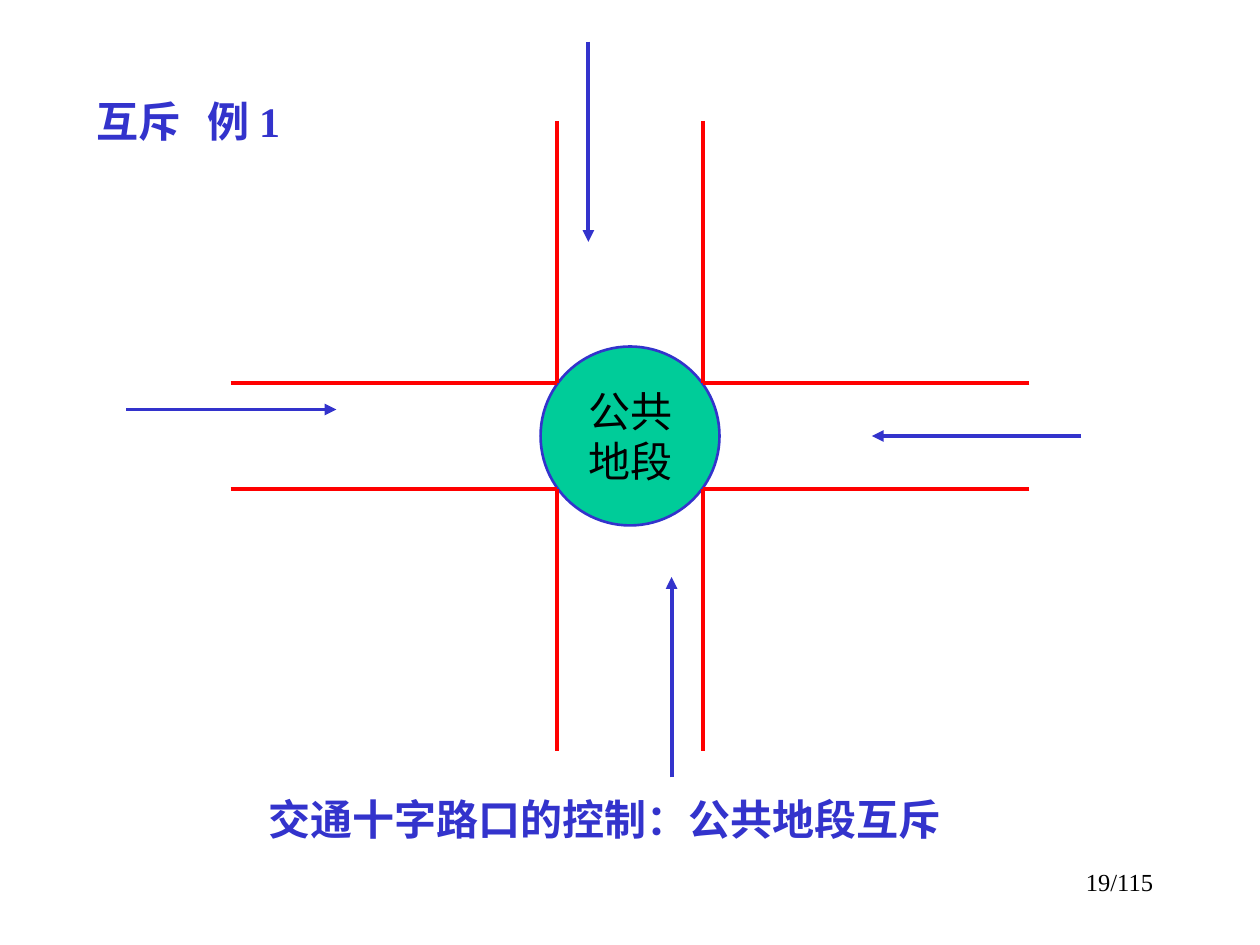
import itertools

import pptx
import pptx.dml.color
import pptx.enum.shapes
import pptx.enum.text
import pptx.oxml
import pptx.oxml.ns
import pptx.util
from pptx.util import Inches

BLUE = pptx.dml.color.RGBColor(0x33, 0x33, 0xCC)
RED = pptx.dml.color.RGBColor(0xFF, 0x00, 0x00)
GREEN = pptx.dml.color.RGBColor(0x00, 0xCC, 0x99)
BLACK = pptx.dml.color.RGBColor(0x00, 0x00, 0x00)

ALIGN = pptx.enum.text.PP_ALIGN
BODY = {"size": pptx.util.Pt(24), "name": "Times New Roman", "bold": False}
HEADING = {**BODY, "bold": True}
SMALL = {**BODY, "size": pptx.util.Pt(14)}

ROAD_X = (4.42, 5.58)
ROAD_Y = (3.04, 3.88)
ROAD_LEFT, ROAD_RIGHT = 1.83, 8.17
ROAD_TOP, ROAD_BOTTOM = 0.96, 5.96

TRAFFIC = [
    ((1, 3.25), (2.67, 3.25)),
    ((4.67, 0.33), (4.67, 1.92)),
    ((8.58, 3.46), (6.92, 3.46)),
    ((5.33, 6.17), (5.33, 4.58)),
]


def write_para(para, text, font, color, align, space_before=0):
    para.alignment = align
    para.space_before = pptx.util.Pt(space_before)
    span = para.add_run()
    span.text = text
    for key, value in font.items():
        setattr(span.font, key, value)
    span.font.color.rgb = color


def add_text(page, bounds, *para_format):
    box = page.shapes.add_textbox(*map(Inches, bounds))
    box.text_frame.word_wrap = True
    para = box.text_frame.paragraphs[0]
    write_para(para, *para_format)
    return para


def add_tab_stop(para, position):
    tabs = pptx.oxml.parse_xml(
        f'<a:tabLst {pptx.oxml.ns.nsdecls("a")}>'
        f'<a:tab pos="{Inches(position)}" algn="l"/></a:tabLst>'
    )
    para._p.get_or_add_pPr().append(tabs)


def add_line(page, start, end, color, arrow=False):
    line = page.shapes.add_connector(
        pptx.enum.shapes.MSO_CONNECTOR.STRAIGHT, *map(Inches, start + end)
    )
    line.line.color.rgb = color
    line.line.width = pptx.util.Pt(2.25)
    if arrow:
        head = pptx.oxml.parse_xml(
            f'<a:tailEnd {pptx.oxml.ns.nsdecls("a")} type="triangle"/>'
        )
        line.line._get_or_add_ln().append(head)
    no_effects = pptx.oxml.parse_xml(f'<a:effectLst {pptx.oxml.ns.nsdecls("a")}/>')
    line._element.spPr.append(no_effects)


def add_shared_section(page):
    """Draw the circle where the two roads meet."""
    circle = page.shapes.add_shape(
        pptx.enum.shapes.MSO_SHAPE.OVAL, *map(Inches, (4.29, 2.75, 1.42, 1.42))
    )
    circle.shadow.inherit = False
    circle.fill.solid()
    circle.fill.fore_color.rgb = GREEN
    circle.line.color.rgb = BLUE
    circle.line.width = pptx.util.Pt(1.5)
    frame = circle.text_frame
    frame.word_wrap = False
    frame.vertical_anchor = pptx.enum.text.MSO_ANCHOR.MIDDLE
    write_para(frame.paragraphs[0], "公共", BODY, BLACK, ALIGN.CENTER)
    write_para(frame.add_paragraph(), "地段", BODY, BLACK, ALIGN.CENTER)


def add_road_edges(page):
    """Draw the edges of both roads, leaving the crossing open."""
    for (x, outer_x), (y, outer_y) in itertools.product(
        zip(ROAD_X, (ROAD_LEFT, ROAD_RIGHT)), zip(ROAD_Y, (ROAD_TOP, ROAD_BOTTOM))
    ):
        add_line(page, (outer_x, y), (x, y), RED)
        add_line(page, (x, outer_y), (x, y), RED)


def main():
    deck = pptx.Presentation()
    deck.slide_width, deck.slide_height = Inches(10), Inches(7.5)
    page = deck.slides.add_slide(deck.slide_layouts[6])

    add_text(page, (7.17, 6.83, 2.08, 0.5), "19/115", SMALL, BLACK, ALIGN.RIGHT)
    title = add_text(
        page, (0.67, 0.71, 2.08, 0.5), "互斥\t例 1", HEADING, BLUE, ALIGN.LEFT, 15
    )
    add_tab_stop(title, 0.88)
    add_shared_section(page)
    add_road_edges(page)
    for start, end in TRAFFIC:
        add_line(page, start, end, BLUE, arrow=True)
    add_text(
        page, (1.92, 6.25, 5.75, 0.5), "交通十字路口的控制：公共地段互斥",
        HEADING, BLUE, ALIGN.CENTER, 15,
    )
    deck.save("out.pptx")


if __name__ == "__main__":
    main()
